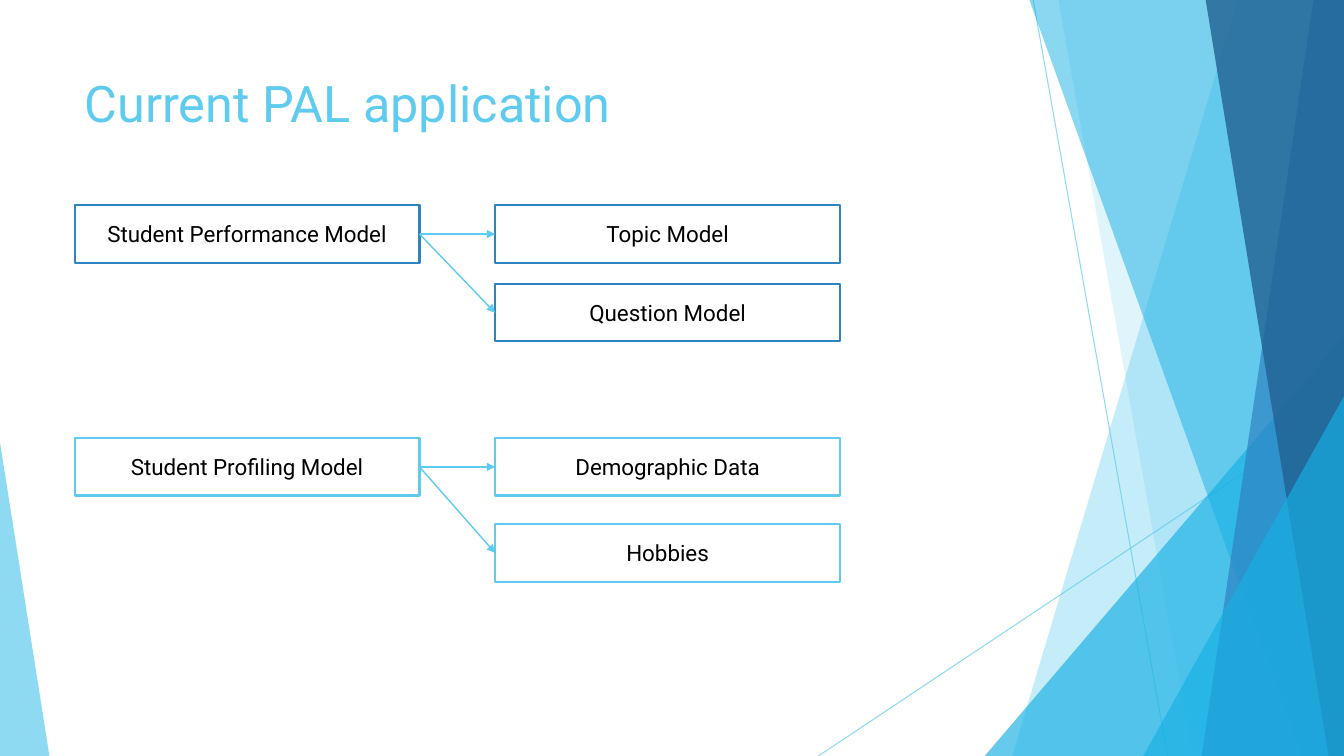
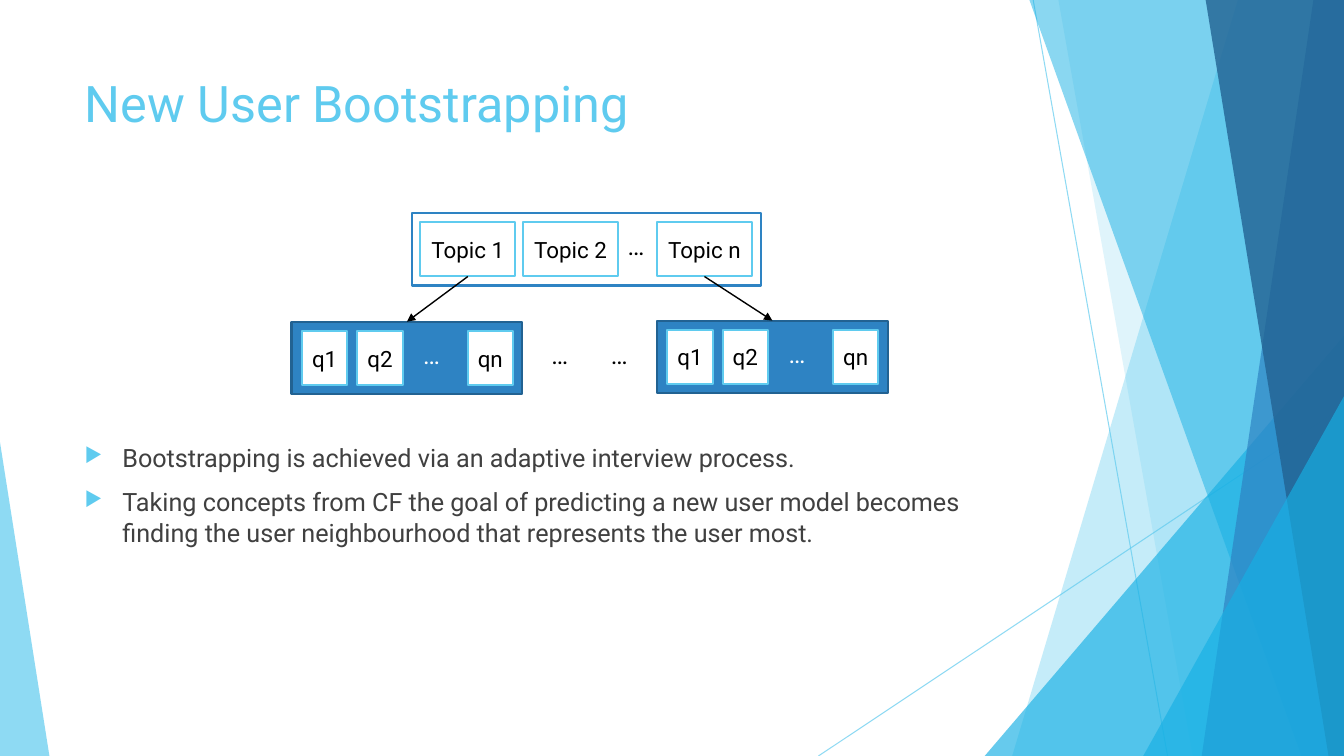
from lxml import etree
from pptx import Presentation
from pptx.dml.color import RGBColor
from pptx.enum import shapes, text
from pptx.oxml import ns
from pptx.util import Pt

WIDTH, HEIGHT = 960, 540
LEFT = 53.3  # shared left margin
FONT = "Roboto"
WHITE = RGBColor(0xFF, 0xFF, 0xFF)
BLACK = RGBColor(0, 0, 0)
GREY = RGBColor(0x40, 0x40, 0x40)
SKY = RGBColor(0x5F, 0xCB, 0xEF)
CYAN = RGBColor(0x17, 0xB0, 0xE4)
BLUE = RGBColor(0x2E, 0x83, 0xC3)
NAVY = RGBColor(0x22, 0x62, 0x92)
TOP, BOTTOM, MIDDLE_LEFT, MIDDLE_RIGHT = 0, 2, 1, 3  # connection sites


# Basic parts
def set_font(para, size, color):
    para.font.name = FONT
    para.font.size = Pt(size)
    para.font.color.rgb = color


def set_opacity(shape, percent):
    for color in shape.element.spPr.iter(ns.qn("a:srgbClr")):
        etree.SubElement(color, ns.qn("a:alpha"), val=str(percent * 1000))


def add_box(page, left, top, width, height, line, fill=WHITE, label=None):
    box = page.shapes.add_shape(shapes.MSO_SHAPE.RECTANGLE,
                                Pt(left), Pt(top), Pt(width), Pt(height))
    box.shadow.inherit = False
    box.fill.solid()
    box.fill.fore_color.rgb = fill
    box.line.color.rgb = line
    box.line.width = Pt(1.5)
    if label:
        box.text_frame.text = label
        box.text_frame.vertical_anchor = text.MSO_ANCHOR.MIDDLE
        para = box.text_frame.paragraphs[0]
        para.alignment = text.PP_ALIGN.CENTER
        set_font(para, 16, BLACK)
    return box


def add_line(page, start, end, color, width):
    line = page.shapes.add_connector(shapes.MSO_CONNECTOR.STRAIGHT,
                                     *(Pt(value) for value in (*start, *end)))
    line.line.color.rgb = color
    line.line.width = Pt(width)
    etree.SubElement(line.element.spPr, ns.qn("a:effectLst"))
    return line


def add_arrow(page, source, source_site, target, target_site, color):
    arrow = add_line(page, (0, 0), (0, 0), color, 1)
    arrow.begin_connect(source, source_site)
    arrow.end_connect(target, target_site)
    outline = arrow.element.spPr.find(ns.qn("a:ln"))
    etree.SubElement(outline, ns.qn("a:tailEnd"), type="triangle")


def add_dots(page, left, top, color):
    dots = page.shapes.add_textbox(Pt(left), Pt(top), Pt(46.8), Pt(28.8))
    dots.text_frame.word_wrap = True
    dots.text_frame.text = "…"
    set_font(dots.text_frame.paragraphs[0], 18, color)


# Shared background
def tint(shape, color, opacity):
    shape.shadow.inherit = False
    shape.fill.solid()
    shape.fill.fore_color.rgb = color
    shape.line.fill.background()
    set_opacity(shape, opacity)


def add_band(page, top_x, bottom_x, color, opacity):
    """Fill from a slanted edge to the right side of the page."""
    outline = page.shapes.build_freeform(Pt(top_x), 0)
    corners = [(WIDTH, 0), (WIDTH, HEIGHT), (bottom_x, HEIGHT)]
    outline.add_line_segments([(Pt(x), Pt(y)) for x, y in corners])
    tint(outline.convert_to_shape(), color, opacity)


def add_wedge(page, left, top, width, apex, color, opacity):
    """Stand a right triangle on the bottom edge of the page."""
    wedge = page.shapes.add_shape(shapes.MSO_SHAPE.ISOSCELES_TRIANGLE, Pt(left),
                                  Pt(top), Pt(width), Pt(HEIGHT - top))
    wedge.adjustments[0] = apex
    tint(wedge, color, opacity)


def add_background(page):
    for start, end in [((738, 0), (834, HEIGHT)), ((WIDTH, 290), (584.6, HEIGHT))]:
        set_opacity(add_line(page, start, end, SKY, 0.75), 70)
    add_band(page, 884.2, 723, SKY, 36)
    add_band(page, 756, 852, SKY, 20)
    add_wedge(page, 703.4, 239.8, 256.6, 1, CYAN, 66)
    add_band(page, 735.3, 929.5, CYAN, 50)
    add_band(page, 938.2, 858.4, BLUE, 70)
    add_band(page, 861.2, 949, NAVY, 80)
    add_wedge(page, 816.6, 283, 143.4, 1, CYAN, 66)
    add_wedge(page, 0, 316, 35.3, 0, SKY, 70)


def add_page(deck, heading):
    page = deck.slides.add_slide(deck.slide_layouts[5])
    add_background(page)
    title = page.shapes.title
    title.left, title.top, title.width, title.height = Pt(LEFT), Pt(48), Pt(677), Pt(104)
    title.text_frame.text = heading
    title.text_frame.vertical_anchor = text.MSO_ANCHOR.TOP
    para = title.text_frame.paragraphs[0]
    para.alignment = text.PP_ALIGN.LEFT
    set_font(para, 36, SKY)
    return page


# Slide regions
def add_model(page, left, top, pitch, line, name, parts):
    """A model on the left with arrows to its parts, stacked on the right."""
    width, height, gap = 246.4, 41, 54
    model = add_box(page, left, top, width, height, line, label=name)
    for row, part in enumerate(parts):
        target = add_box(page, left + width + gap, top + row * pitch,
                         width, height, line, label=part)
        add_arrow(page, model, MIDDLE_RIGHT, target, MIDDLE_LEFT, SKY)


def add_strip(page, left, top, width, fill, line, cell_width, cells, dots_x, dots_color):
    """A frame of labelled cells at given offsets, with dots before the last."""
    frame = add_box(page, left, top, width, 52, line, fill)
    boxes = [add_box(page, left + offset, top + 6.6, cell_width, 38.9, SKY, label=label)
             for label, offset in cells.items()]
    add_dots(page, left + dots_x, top + 9, dots_color)
    return frame, boxes


def add_bullets(page, left, top, width, height, lines):
    box = page.shapes.add_textbox(Pt(left), Pt(top), Pt(width), Pt(height))
    frame = box.text_frame
    frame.word_wrap = True
    frame.text = "\n".join(lines)
    for para in frame.paragraphs:
        para.space_before = Pt(10)
        settings = para._p.get_or_add_pPr()
        settings.set("marL", str(Pt(27)))
        settings.set("indent", str(-Pt(27)))
        bullet_color = etree.SubElement(settings, ns.qn("a:buClr"))
        etree.SubElement(bullet_color, ns.qn("a:srgbClr"), val=str(SKY))
        etree.SubElement(settings, ns.qn("a:buSzPct"), val="80000")
        etree.SubElement(settings, ns.qn("a:buChar"), char="▶")
        set_font(para, 18, GREY)


# Slides
def add_application_page(deck):
    page = add_page(deck, "Current PAL application")
    add_model(page, LEFT, 146.7, 56.2, BLUE, "Student Performance Model",
              ["Topic Model", "Question Model"])
    add_model(page, LEFT, 313, 61.5, SKY, "Student Profiling Model",
              ["Demographic Data", "Hobbies"])


def add_bootstrapping_page(deck):
    page = add_page(deck, "New User Bootstrapping")
    add_bullets(page, LEFT, 312.5, 677, 163, [
        "Bootstrapping is achieved via an adaptive interview process.",
        "Taking concepts from CF the goal of predicting a new user model becomes "
        "finding the user neighbourhood that represents the user most.",
    ])
    topic_cells = {"Topic 1": 6, "Topic 2": 79.3, "Topic n": 175}
    _, topics = add_strip(page, 294.3, 152, 249.3, WHITE, BLUE, 67.8,
                          topic_cells, 147, BLACK)
    question_cells = {"q1": 7.5, "q2": 47, "qn": 125.8}
    for topic, left, top in [(topics[0], 208.2, 229.8), (topics[-1], 469.2, 229)]:
        frame, _ = add_strip(page, left, top, 165, BLUE, NAVY, 32.4,
                             question_cells, 87, WHITE)
        add_arrow(page, topic, BOTTOM, frame, TOP, BLACK)
    for left in (386.7, 429.2):
        add_dots(page, left, 239, BLACK)


def main():
    deck = Presentation()
    deck.slide_width, deck.slide_height = Pt(WIDTH), Pt(HEIGHT)
    add_application_page(deck)
    add_bootstrapping_page(deck)
    deck.save("out.pptx")


if __name__ == "__main__":
    main()
